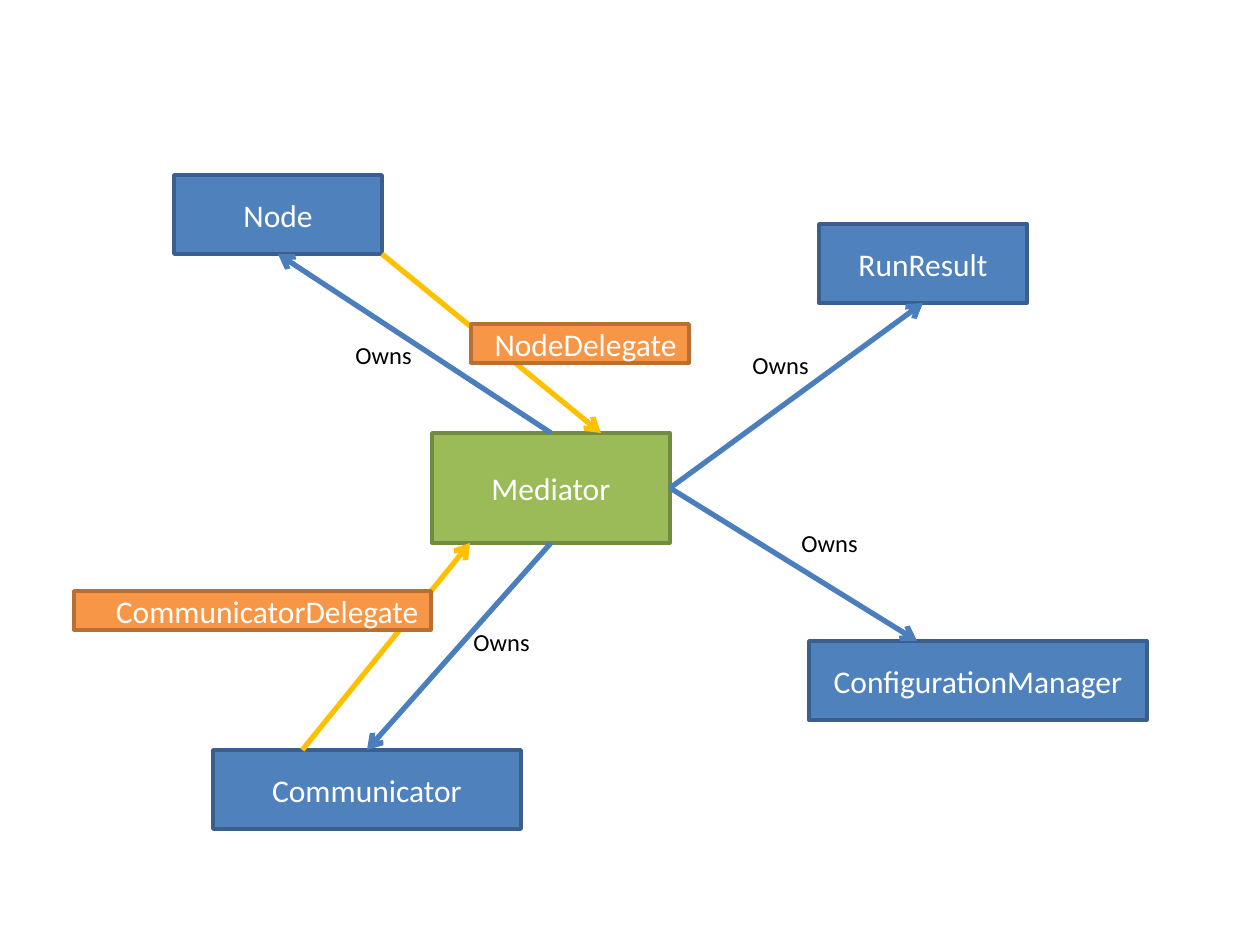
from pptx import Presentation
from pptx.dml.color import RGBColor
from pptx.enum.shapes import MSO_CONNECTOR as Connector, MSO_SHAPE as Shape
from pptx.enum.text import MSO_ANCHOR as Anchor, PP_ALIGN as Align
from pptx.oxml.ns import qn
from pptx.util import Emu, Pt
from lxml.etree import SubElement

SCALE = 914400 // 126
BLUE, GREEN, ORANGE = ("4F81BD", "3A5F8C"), ("9BBB59", "738A42"), ("F79646", "B76F34")
OWNS_LINE, DELEGATE_LINE = "4B7EBC", "FFC000"


def px(length):
    return Emu(round(length * SCALE))


def color(value):
    return RGBColor.from_string(value)


def set_text(shape, text, size, text_color, align):
    shape.text_frame.text = text
    paragraph = shape.text_frame.paragraphs[0]
    paragraph.alignment = align
    font = paragraph.runs[0].font
    font.name, font.size = "Calibri", Pt(size)
    font.color.rgb = color(text_color)


def add_box(slide, box, text, colors, align=Align.CENTER):
    shape = slide.shapes.add_shape(Shape.RECTANGLE, *map(px, box))
    shape.shadow.inherit = False
    shape.fill.solid()
    shape.fill.fore_color.rgb = color(colors[0])
    shape.line.color.rgb = color(colors[1])
    shape.line.width = Pt(2)
    shape.text_frame.vertical_anchor = Anchor.MIDDLE
    set_text(shape, text, 18, "FFFFFF", align)


def add_arrow(slide, start, end, line_color):
    arrow = slide.shapes.add_connector(Connector.STRAIGHT, *map(px, start + end))
    arrow.line.color.rgb = color(line_color)
    arrow.line.width = Pt(3)
    SubElement(arrow.line._get_or_add_ln(), qn("a:tailEnd"), type="arrow")
    SubElement(arrow._element.spPr, qn("a:effectLst"))


def add_label(slide, left, top, text):
    label = slide.shapes.add_textbox(*map(px, (left, top, 89, 43)))
    label.text_frame.word_wrap = False
    set_text(label, text, 14, "000000", Align.LEFT)


def point_on(box, across, down):
    """Point at the given fractions of a box's width and height."""
    left, top, width, height = box
    return left + across * width, top + down * height


def add_mediator_diagram(slide, left, top):
    def place(x, y, width, height):
        return left + x, top + y, width, height

    mediator = place(432, 433, 238, 110)
    node = place(174, 175, 208, 79)
    communicator = place(213, 750, 308, 79)
    run_result = place(819, 224, 208, 79)
    configuration = place(809, 641, 338, 79)

    # Classes
    add_box(slide, mediator, "Mediator", GREEN)
    for box, name in [(node, "Node"), (communicator, "Communicator"),
                      (run_result, "RunResult"),
                      (configuration, "ConfigurationManager")]:
        add_box(slide, box, name, BLUE)

    # Ownership arrows and delegate arrows
    top_middle, right_middle, bottom_middle = (
        point_on(mediator, *place_on) for place_on in [(0.5, 0), (1, 0.5), (0.5, 1)])
    for start, end, line_color in [
        (top_middle, point_on(node, 0.5, 1), OWNS_LINE),
        (right_middle, point_on(run_result, 0.5, 1), OWNS_LINE),
        (bottom_middle, point_on(communicator, 0.5, 0), OWNS_LINE),
        (right_middle, point_on(configuration, 0.32, 0), OWNS_LINE),
        (point_on(node, 1, 1), point_on(mediator, 0.71, 0), DELEGATE_LINE),
        (point_on(communicator, 0.29, 0), point_on(mediator, 0.16, 1), DELEGATE_LINE),
    ]:
        add_arrow(slide, start, end, line_color)

    # Ownership labels
    for x, y in [(343, 334), (461, 621), (789, 522), (740, 344)]:
        add_label(slide, left + x, top + y, "Owns")

    # Delegate protocols
    add_box(slide, place(471, 324, 218, 39), "NodeDelegate", ORANGE, Align.RIGHT)
    add_box(slide, place(74, 591, 357, 39), "CommunicatorDelegate", ORANGE, Align.RIGHT)


presentation = Presentation()
presentation.slide_width, presentation.slide_height = px(1260), px(945)
slide = presentation.slides.add_slide(presentation.slide_layouts[6])
add_mediator_diagram(slide, 0, 0)
presentation.save("out.pptx")
